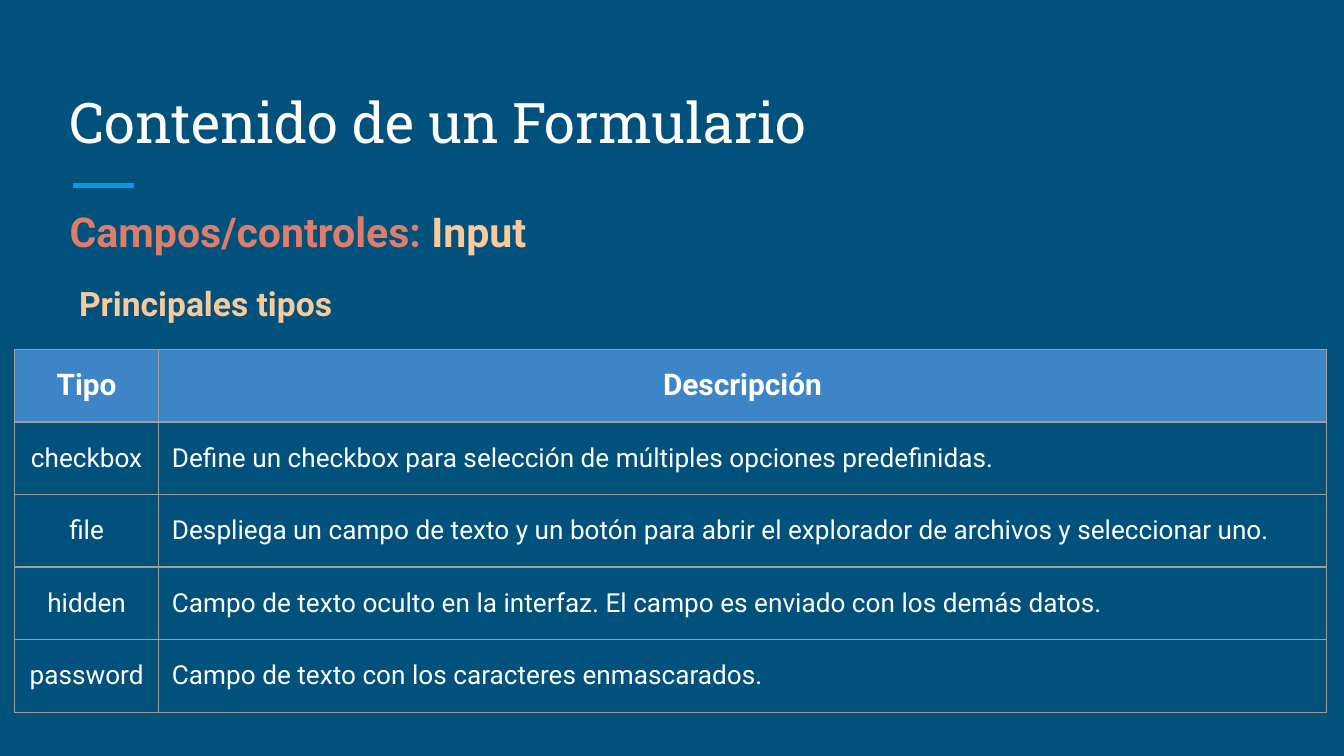
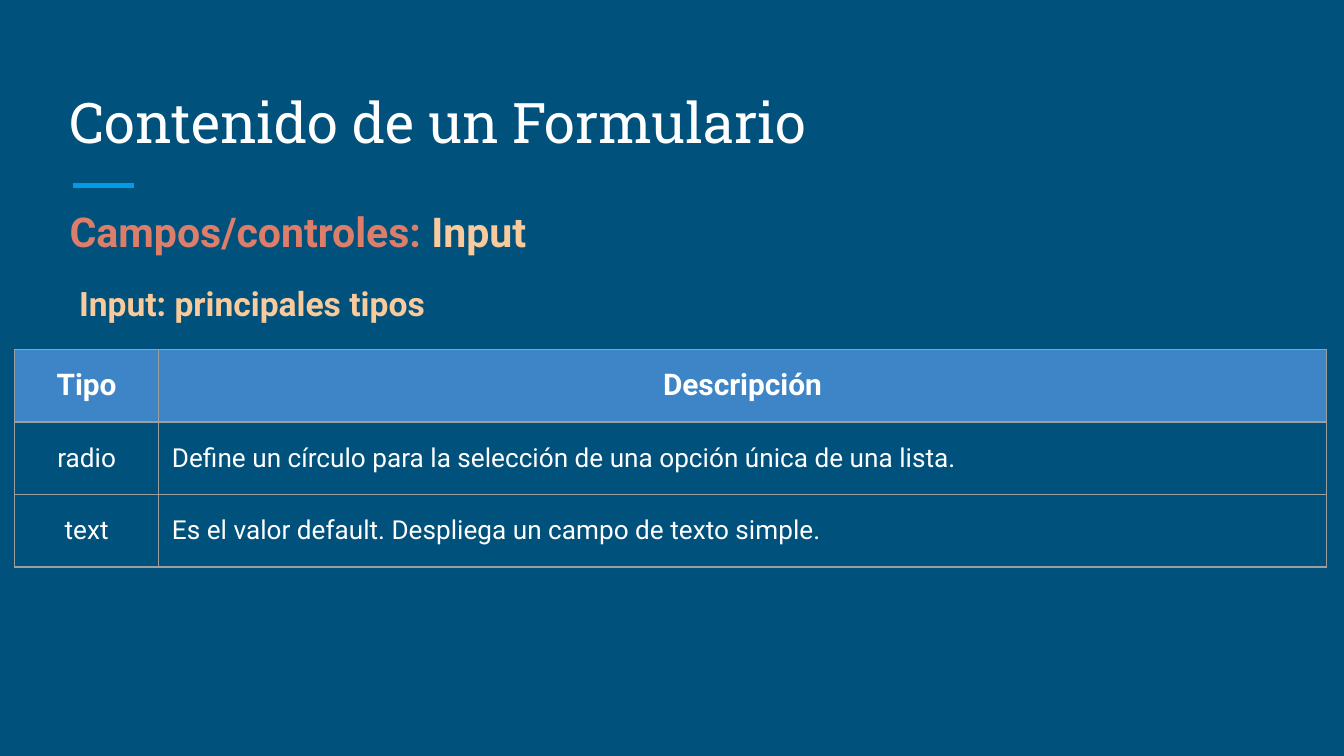
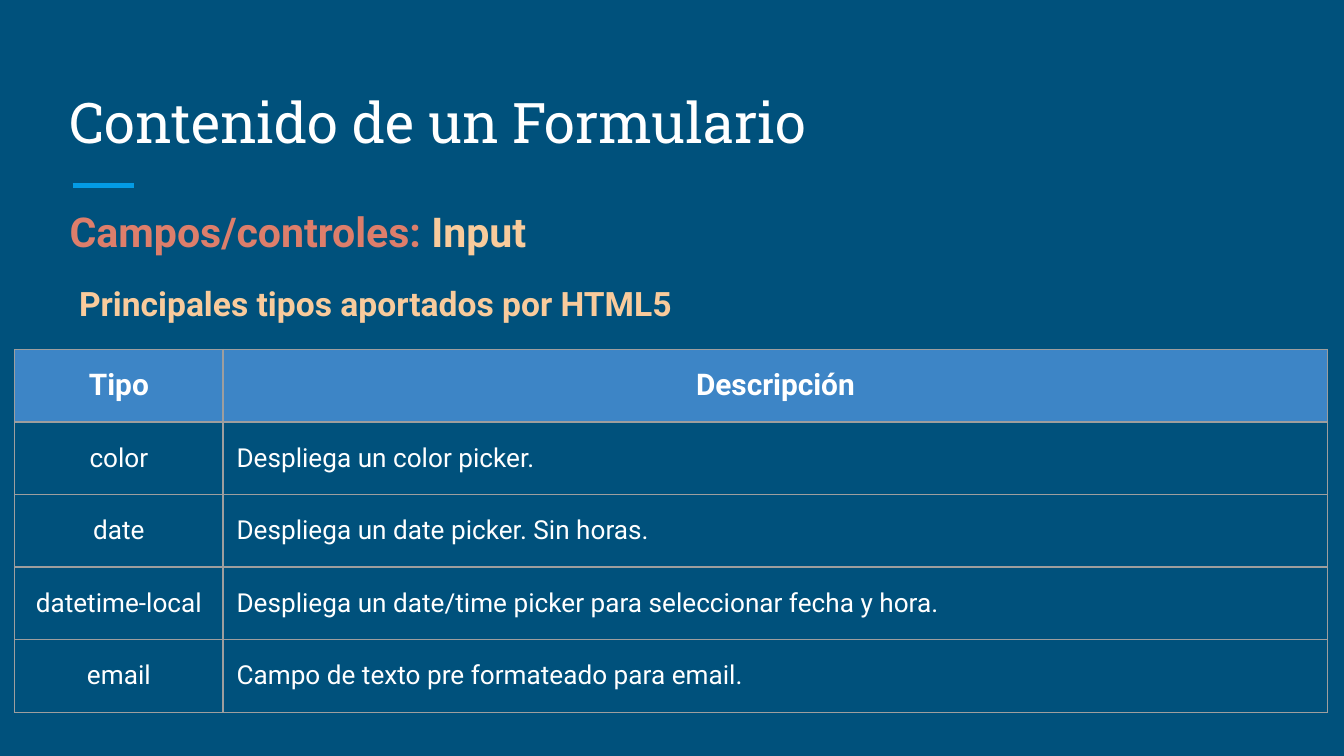
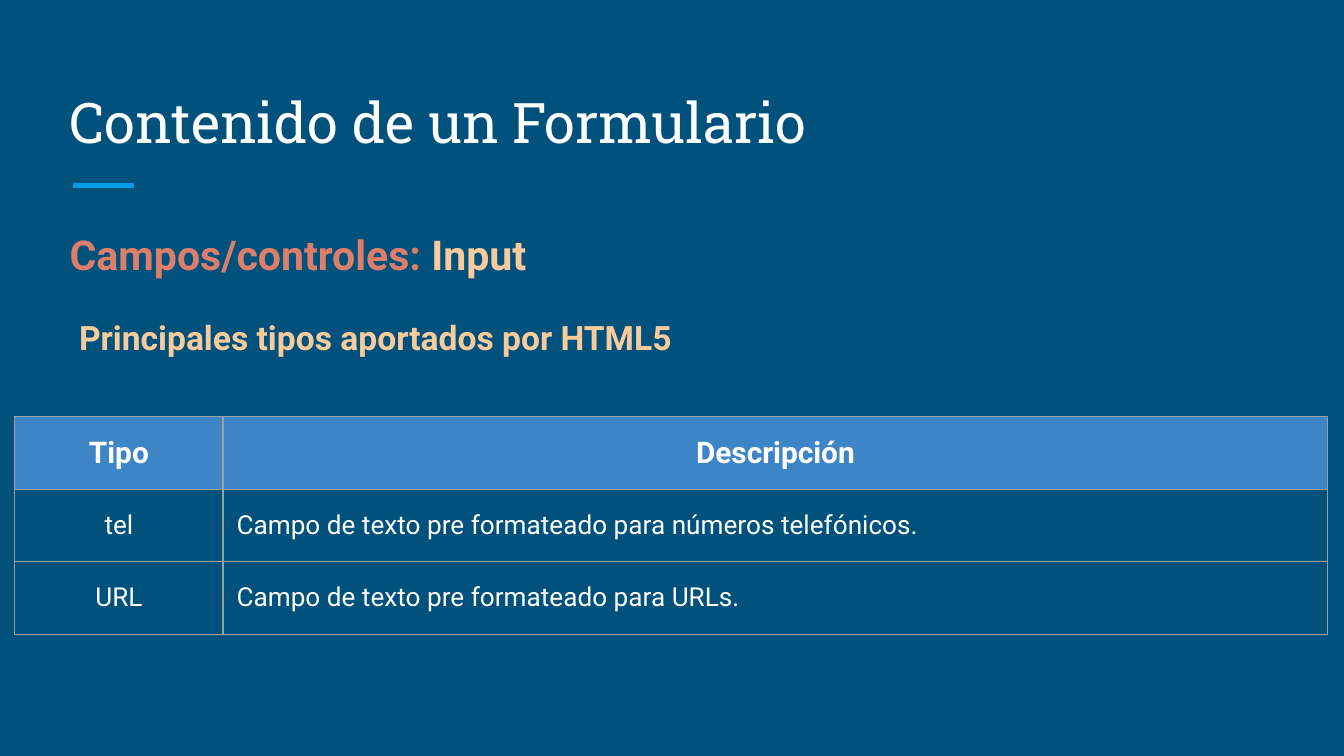
"""Builds four slides on the main types of the input form control."""
from dataclasses import dataclass

from lxml.etree import SubElement
from pptx import Presentation
from pptx.dml.color import RGBColor
from pptx.enum.shapes import MSO_CONNECTOR as Connector
from pptx.enum.text import MSO_ANCHOR as Anchor, PP_ALIGN as Align
from pptx.oxml.ns import qn
from pptx.util import Inches, Pt

TITLE = "Contenido de un Formulario"
HEADING = ("Campos/controles: ", "Input")
HEADER = ("Tipo", "Descripción")

UPPER = {"heading": 1.38, "subheading": 1.96, "table": 2.6}
LOWER = {"heading": 1.55, "subheading": 2.21, "table": 3.1}
NARROW, WIDE = (1.07, 8.69), (1.55, 8.22)

SLIDES = [
    {"subheading": "Principales tipos", "tops": UPPER, "columns": NARROW, "rows": [
        ("checkbox", "Define un checkbox para selección de múltiples opciones predefinidas."),
        ("file", "Despliega un campo de texto y un botón para abrir el explorador de archivos y seleccionar uno."),
        ("hidden", "Campo de texto oculto en la interfaz. El campo es enviado con los demás datos."),
        ("password", "Campo de texto con los caracteres enmascarados."),
    ]},
    {"subheading": "Input: principales tipos", "tops": UPPER, "columns": NARROW, "rows": [
        ("radio", "Define un círculo para la selección de una opción única de una lista."),
        ("text", "Es el valor default. Despliega un campo de texto simple."),
    ]},
    {"subheading": "Principales tipos aportados por HTML5", "tops": UPPER, "columns": WIDE, "rows": [
        ("color", "Despliega un color picker."),
        ("date", "Despliega un date picker. Sin horas."),
        ("datetime-local", "Despliega un date/time picker para seleccionar fecha y hora."),
        ("email", "Campo de texto pre formateado para email."),
    ]},
    {"subheading": "Principales tipos aportados por HTML5", "tops": LOWER, "columns": WIDE, "rows": [
        ("tel", "Campo de texto pre formateado para números telefónicos."),
        ("URL", "Campo de texto pre formateado para URLs."),
    ]},
]


@dataclass(frozen=True)
class Theme:
    background: str = "00517C"
    accent: str = "039BE5"
    white: str = "FFFFFF"
    coral: str = "DD7E6B"
    peach: str = "F9CB9C"
    header: str = "3D85C6"
    border: str = "9E9E9E"
    title_font: str = "Roboto Slab"
    body_font: str = "Roboto"
    title_size: int = 30
    heading_size: int = 22
    subheading_size: int = 18
    header_size: int = 16
    cell_size: int = 14
    inset: float = 0.1
    row_height: float = 0.54
    border_width: float = 0.75


THEME = Theme()


def write_text(frame, runs, size, font=THEME.body_font, bold=False,
               align=Align.LEFT, spacing=None, after=None):
    paragraph = frame.paragraphs[0]
    paragraph.alignment = align
    if spacing:
        paragraph.line_spacing = spacing
    if after:
        paragraph.space_after = Pt(after)
    for text, color in runs:
        run = paragraph.add_run()
        run.text = text
        run.font.name, run.font.size, run.font.bold = font, Pt(size), bold
        run.font.color.rgb = RGBColor.from_string(color)


def set_insets(holder):
    for side in ("left", "top", "right", "bottom"):
        setattr(holder, f"margin_{side}", Inches(THEME.inset))


def add_text(slide, box, runs, anchor=Anchor.TOP, **text_format):
    frame = slide.shapes.add_textbox(*map(Inches, box)).text_frame
    frame.word_wrap = True
    frame.vertical_anchor = anchor
    set_insets(frame)
    write_text(frame, runs, **text_format)


def add_accent(slide):
    ends = map(Inches, (0.54, 1.38, 1, 1.38))
    accent = slide.shapes.add_connector(Connector.STRAIGHT, *ends)
    accent.line.color.rgb = RGBColor.from_string(THEME.accent)
    accent.line.width = Pt(3)
    SubElement(accent._element.spPr, qn("a:effectLst"))


def add_borders(cell):
    properties = cell._tc.get_or_add_tcPr()
    for side in ("lnL", "lnR", "lnT", "lnB"):
        line = SubElement(properties, qn(f"a:{side}"), w=str(Pt(THEME.border_width)))
        SubElement(SubElement(line, qn("a:solidFill")), qn("a:srgbClr"), val=THEME.border)


def style_cell(cell, text, is_header, is_type):
    set_insets(cell)
    cell.vertical_anchor = Anchor.MIDDLE
    add_borders(cell)
    if is_header:
        cell.fill.solid()
        cell.fill.fore_color.rgb = RGBColor.from_string(THEME.header)
    else:
        cell.fill.background()
    write_text(cell.text_frame, [(text, THEME.white)], bold=is_header,
               size=THEME.header_size if is_header else THEME.cell_size,
               align=Align.CENTER if is_header or is_type else Align.LEFT)


def add_types_table(slide, top, columns, rows):
    rows = [HEADER, *rows]
    box = (0.11, top, sum(columns), THEME.row_height * len(rows))
    table = slide.shapes.add_table(len(rows), len(columns), *map(Inches, box)).table
    table.first_row = table.horz_banding = False
    for column, width in zip(table.columns, columns):
        column.width = Inches(width)
    for row_index, row in enumerate(rows):
        table.rows[row_index].height = Inches(THEME.row_height)
        for column_index, text in enumerate(row):
            style_cell(table.cell(row_index, column_index), text,
                       is_header=row_index == 0, is_type=column_index == 0)


def add_slide(presentation, content):
    slide = presentation.slides.add_slide(presentation.slide_layouts[6])
    tops = content["tops"]
    add_accent(slide)
    add_text(slide, (0.42, 0.5, 9.15, 0.75), [(TITLE, THEME.white)], Anchor.BOTTOM,
             size=THEME.title_size, font=THEME.title_font)
    add_text(slide, (0.42, tops["heading"], 9.15, 0.55), zip(HEADING, (THEME.coral, THEME.peach)),
             size=THEME.heading_size, bold=True, spacing=1.15, after=16)
    add_text(slide, (0.49, tops["subheading"], 9.26, 0.59), [(content["subheading"], THEME.peach)],
             size=THEME.subheading_size, bold=True, spacing=1.15, after=10)
    add_types_table(slide, tops["table"], content["columns"], content["rows"])


def main():
    presentation = Presentation()
    presentation.slide_width = Inches(10)
    presentation.slide_height = presentation.slide_width * 9 // 16
    background = presentation.slide_master.background.fill
    background.solid()
    background.fore_color.rgb = RGBColor.from_string(THEME.background)
    for content in SLIDES:
        add_slide(presentation, content)
    presentation.save("out.pptx")


if __name__ == "__main__":
    main()
